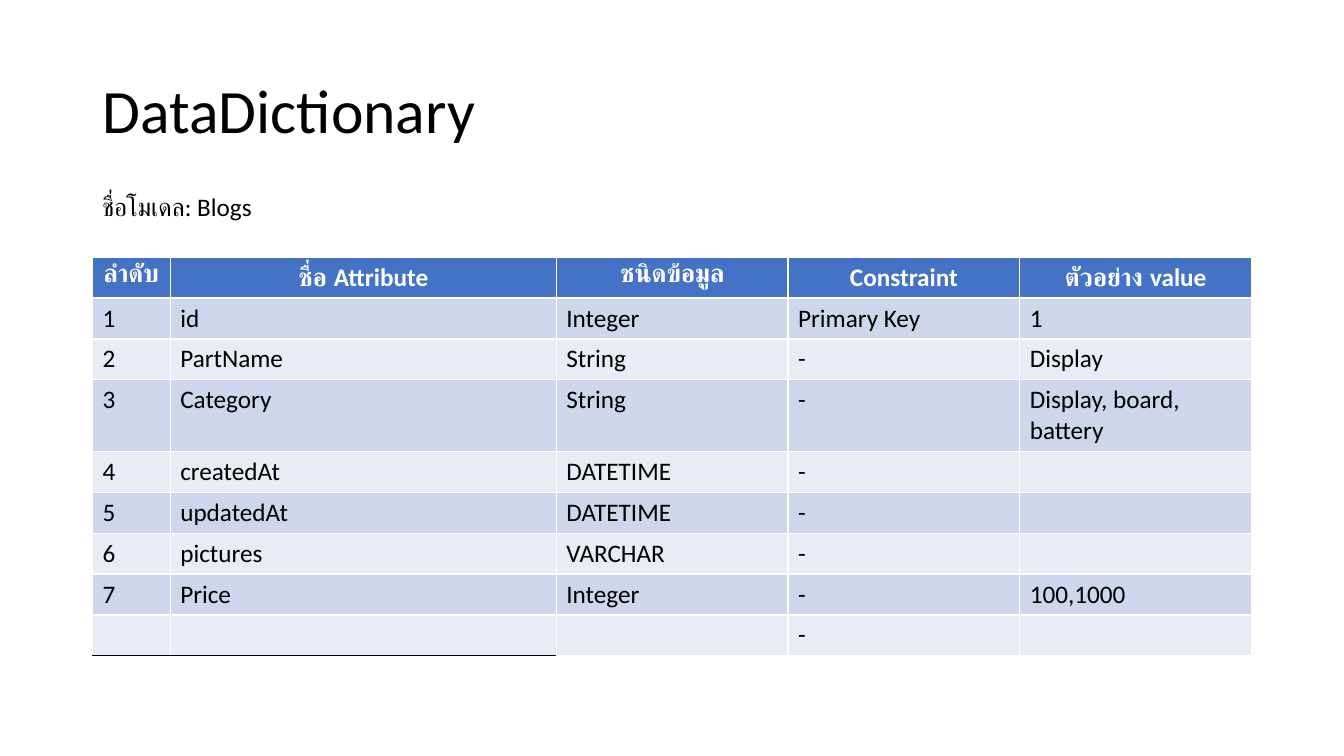
from lxml.etree import SubElement
from pptx import Presentation
from pptx.dml.color import RGBColor
from pptx.enum.text import MSO_ANCHOR as Anchor, MSO_AUTO_SIZE as AutoSize, PP_ALIGN as Align
from pptx.oxml.ns import qn
from pptx.util import Cm, Pt

LEFT, WIDTH = Cm(2.33), Cm(29.21)
COLUMN_WIDTHS = [1.96, 9.73, 5.84, 5.84, 5.84]
ROW_HEIGHT = 1.03
HEADER_FILL, BAND_FILLS = "4472C4", ["E9EBF5", "CFD5EA"]
ROWS = [
    ["ลำดับ", "ชื่อ Attribute", "ชนิดข้อมูล", "Constraint", "ตัวอย่าง value"],
    ["1", "id", "Integer", "Primary Key", "1"],
    ["2", "PartName", "String", "-", "Display"],
    ["3", "Category", "String", "-", "Display, board, battery"],
    ["4", "createdAt", "DATETIME", "-", ""],
    ["5", "updatedAt", "DATETIME", "-", ""],
    ["6", "pictures", "VARCHAR", "-", ""],
    ["7", "Price", "Integer", "-", "100,1000"],
    ["", "", "", "-", ""],
]


def write(frame, text, size=18, color="000000", bold=False, align=Align.LEFT):
    """Fill a text frame with one paragraph in a single format."""
    frame.text = text
    para = frame.paragraphs[0]
    para.alignment = align
    for span in para.runs:
        span.font.name = "Calibri"
        span.font.size = Pt(size)
        span.font.bold = bold
        span.font.color.rgb = RGBColor.from_string(color)


def underline_cell(cell, color):
    """Give a cell a bottom border of one point."""
    properties = cell._tc.get_or_add_tcPr()
    line = SubElement(properties, qn("a:lnB"), w=str(Pt(1)))
    properties.insert(0, line)
    fill = SubElement(line, qn("a:solidFill"))
    SubElement(fill, qn("a:srgbClr"), val=color)


deck = Presentation()
deck.slide_width, deck.slide_height = Cm(33.87), Cm(19.05)
page = deck.slides.add_slide(deck.slide_layouts.get_by_name("Title Only"))

title = page.shapes.title
title.left, title.top, title.width, title.height = LEFT, Cm(1.01), WIDTH, Cm(3.68)
write(title.text_frame, "DataDictionary", size=44)
title.text_frame.vertical_anchor = Anchor.MIDDLE
title.text_frame.paragraphs[0].line_spacing = 0.9

table = page.shapes.add_table(
    len(ROWS), len(COLUMN_WIDTHS), LEFT, Cm(6.48), WIDTH, Cm(ROW_HEIGHT * len(ROWS))
).table
for column, width in zip(table.columns, COLUMN_WIDTHS):
    column.width = Cm(width)
for row_index, texts in enumerate(ROWS):
    table.rows[row_index].height = Cm(ROW_HEIGHT)
    is_header = row_index == 0
    for column_index, text in enumerate(texts):
        cell = table.cell(row_index, column_index)
        cell.fill.solid()
        cell.fill.fore_color.rgb = RGBColor.from_string(
            HEADER_FILL if is_header else BAND_FILLS[row_index % 2]
        )
        if is_header:
            write(cell.text_frame, text, color="FFFFFF", bold=True, align=Align.CENTER)
        else:
            write(cell.text_frame, text)
for column_index in range(2):
    underline_cell(table.cell(len(ROWS) - 1, column_index), "000000")

model_box = page.shapes.add_textbox(LEFT, Cm(4.69), Cm(10.4), Cm(1.03))
model_box.text_frame.word_wrap = True
model_box.text_frame.auto_size = AutoSize.SHAPE_TO_FIT_TEXT
write(model_box.text_frame, "ชื่อโมเดล: Blogs")

deck.save("out.pptx")
